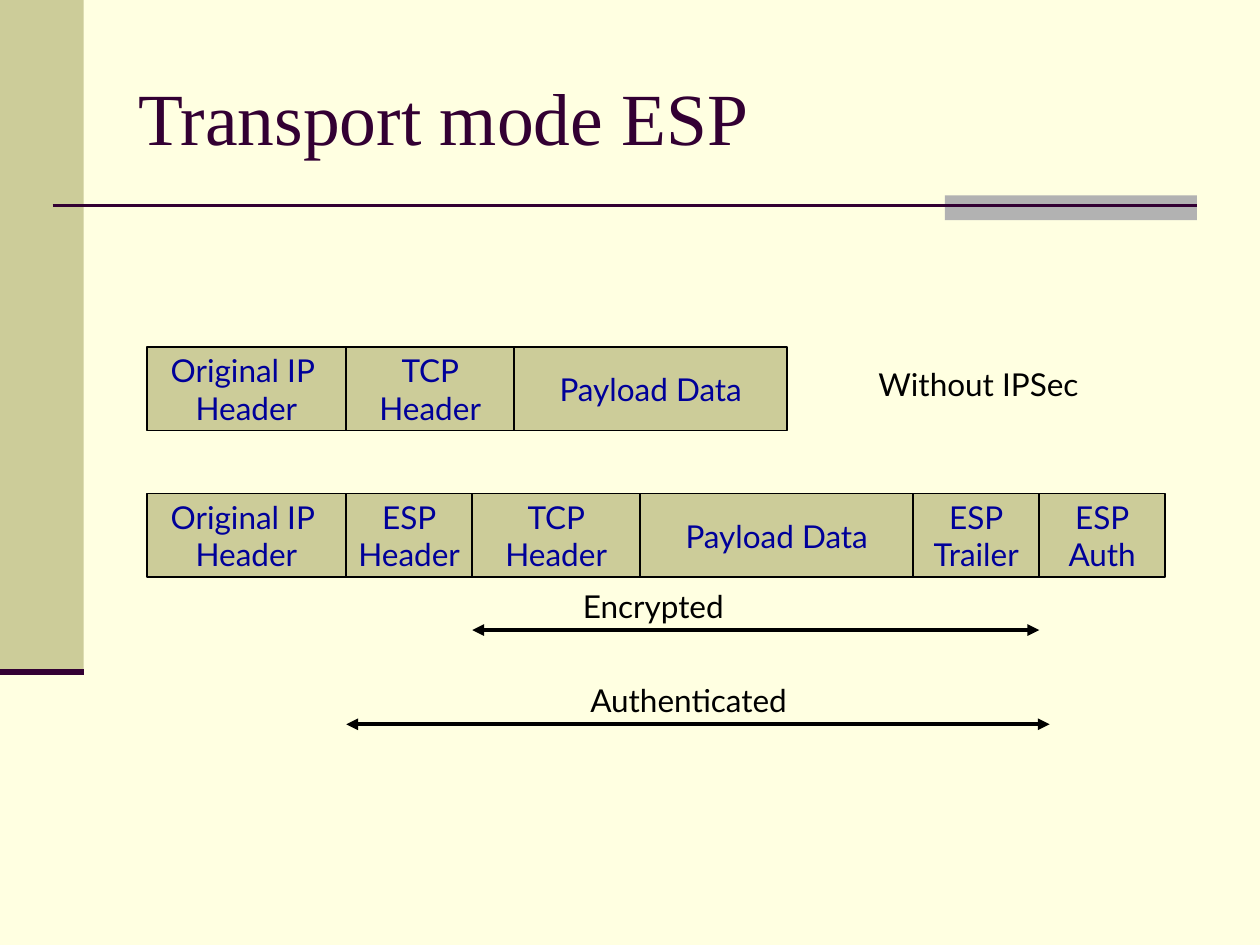
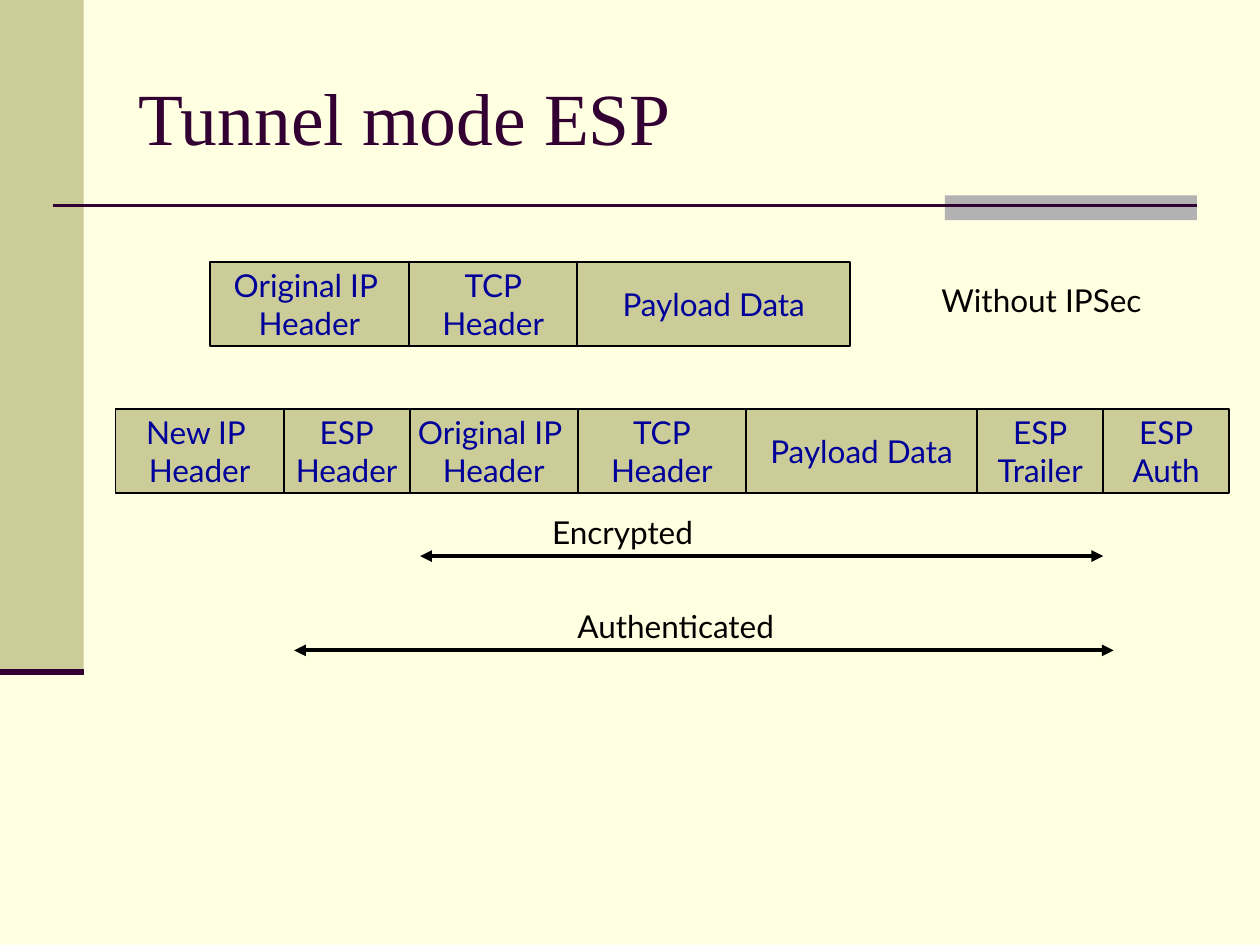
from dataclasses import dataclass

import pptx
import pptx.dml.color
import pptx.enum.shapes
import pptx.enum.text
import pptx.oxml
import pptx.oxml.ns
import pptx.util
from pptx.util import Cm


@dataclass(frozen=True)
class Theme:
    background: str = "FFFFE1"
    khaki: str = "CCCC99"
    gray: str = "B2B2B2"
    plum: str = "330033"
    field_text: str = "000099"
    black: str = "000000"
    title_font: str = "Times New Roman"
    body_font: str = "Lato"
    title_size: float = 42
    body_size: float = 18


@dataclass(frozen=True)
class Box:
    left: float
    top: float
    width: float
    height: float

    def lengths(self):
        return Cm(self.left), Cm(self.top), Cm(self.width), Cm(self.height)


@dataclass(frozen=True)
class Span:
    """An arrow between two field edges, each moved by a small shift."""
    label: str
    label_width: float
    label_offset: float
    first_edge: int
    last_edge: int
    start_shift: float = 0
    end_shift: float = 0


@dataclass(frozen=True)
class Mode:
    title: str
    plain_left: float
    plain_top: float
    secured_left: float
    secured_fields: tuple
    arrow_offset: float
    spans: tuple


THEME = Theme()
FIELD_HEIGHT = 1.69
ROW_STEP = 2.96
ARROW_STEP = 1.9
LABEL_HEIGHT = 1.02
NUDGE = 0.21

NARROW, MEDIUM, WIDE = 2.54, 3.39, 4.02
ORIGINAL_IP = ("Original IP \nHeader", WIDE)
TCP = ("TCP\nHeader", MEDIUM)
PAYLOAD = ("Payload Data", 5.5)
ESP_HEADER = ("ESP\nHeader", NARROW)
ESP_END = (("ESP\nTrailer", NARROW), ("ESP\nAuth", NARROW))
PLAIN_FIELDS = (ORIGINAL_IP, TCP, PAYLOAD)

MODES = (
    Mode(
        "Transport mode ESP", 2.96, 6.99, 2.96,
        (ORIGINAL_IP, ESP_HEADER, TCP, PAYLOAD, *ESP_END), 2.75,
        (Span("Encrypted", 3.5, 1.98, 2, 5),
         Span("Authenticated", 4.7, 4.67, 1, 5, end_shift=NUDGE)),
    ),
    Mode(
        "Tunnel mode ESP", 4.23, 5.29, 2.33,
        (("New IP \nHeader", MEDIUM), ESP_HEADER, ("Original IP \nHeader", MEDIUM),
         TCP, ("Payload Data", 4.66), *ESP_END), 2.96,
        (Span("Encrypted", 3.5, 2.41, 2, 6, start_shift=NUDGE),
         Span("Authenticated", 4.7, 5.46, 1, 6, NUDGE, NUDGE)),
    ),
)


def rgb(color):
    return pptx.dml.color.RGBColor.from_string(color)


def format_text(text_frame, font_name, size, color, alignment):
    for paragraph in text_frame.paragraphs:
        paragraph.alignment = alignment
        for run in paragraph.runs:
            run.font.name = font_name
            run.font.size = pptx.util.Pt(size)
            run.font.color.rgb = rgb(color)


def add_rectangle(slide, box, fill):
    shape = slide.shapes.add_shape(
        pptx.enum.shapes.MSO_SHAPE.RECTANGLE, *box.lengths())
    shape.shadow.inherit = False
    shape.fill.solid()
    shape.fill.fore_color.rgb = rgb(fill)
    shape.line.fill.background()
    return shape


def add_line(slide, left, top, width, color, weight, arrows=False):
    """Draw a horizontal line, with arrowheads at both ends if asked."""
    line = slide.shapes.add_connector(
        pptx.enum.shapes.MSO_CONNECTOR.STRAIGHT,
        Cm(left), Cm(top), Cm(left + width), Cm(top))
    line.line.color.rgb = rgb(color)
    line.line.width = pptx.util.Pt(weight)
    if arrows:
        outline = line.line._get_or_add_ln()
        for end in ("a:headEnd", "a:tailEnd"):
            arrowhead = pptx.oxml.parse_xml(
                f"<{end} {pptx.oxml.ns.nsdecls('a')} type='triangle'/>")
            outline.append(arrowhead)
    line._element.spPr.append(
        pptx.oxml.parse_xml(f"<a:effectLst {pptx.oxml.ns.nsdecls('a')}/>"))


def add_label(slide, box, text):
    label = slide.shapes.add_textbox(*box.lengths())
    label.text_frame.word_wrap = False
    label.text_frame.text = text
    format_text(label.text_frame, THEME.body_font, THEME.body_size,
                THEME.black, pptx.enum.text.PP_ALIGN.LEFT)


def add_frame(slide):
    """Draw the side band and the title rule."""
    band = Box(0, 0, 1.69, 13.55)
    rule = Box(1.06, 4.14, 23.07, 0)
    add_rectangle(slide, band, THEME.khaki)
    add_rectangle(slide, Box(19.05, 3.94, 5.08, 0.5), THEME.gray)
    add_line(slide, rule.left, rule.top, rule.width, THEME.plum, 1.5)
    add_line(slide, band.left, band.height, band.width, THEME.plum, 3.5)


def set_title(slide, box, text):
    title = slide.shapes.title
    title.left, title.top, title.width, title.height = box.lengths()
    text_frame = title.text_frame
    text_frame.text = text
    text_frame.auto_size = pptx.enum.text.MSO_AUTO_SIZE.NONE
    text_frame.vertical_anchor = pptx.enum.text.MSO_ANCHOR.MIDDLE
    format_text(text_frame, THEME.title_font, THEME.title_size,
                THEME.plum, pptx.enum.text.PP_ALIGN.LEFT)


def add_packet(slide, left, top, fields):
    """Lay fields side by side and return the positions of their edges."""
    edges = [left]
    for text, width in fields:
        field = add_rectangle(
            slide, Box(edges[-1], top, width, FIELD_HEIGHT), THEME.khaki)
        field.line.color.rgb = rgb(THEME.black)
        field.line.width = pptx.util.Pt(1)
        field.text_frame.word_wrap = False
        field.text_frame.vertical_anchor = pptx.enum.text.MSO_ANCHOR.MIDDLE
        field.text_frame.text = text
        format_text(field.text_frame, THEME.body_font, THEME.body_size,
                    THEME.field_text, pptx.enum.text.PP_ALIGN.CENTER)
        edges.append(edges[-1] + width)
    return edges


def add_span(slide, span, edges, top):
    left = edges[span.first_edge] + span.start_shift
    right = edges[span.last_edge] + span.end_shift
    add_line(slide, left, top, right - left, THEME.black, 2.25, arrows=True)
    add_label(slide, Box(left + span.label_offset, top - 1,
                         span.label_width, LABEL_HEIGHT), span.label)


def add_mode_slide(presentation, mode):
    title_only = presentation.slide_layouts.get_by_name("Title Only")
    slide = presentation.slides.add_slide(title_only)
    add_frame(slide)
    set_title(slide, Box(2.54, 0.76, 21.59, 3.18), mode.title)

    add_packet(slide, mode.plain_left, mode.plain_top, PLAIN_FIELDS)
    add_label(slide, Box(mode.plain_left + 14.5, mode.plain_top + 0.25,
                         4.65, LABEL_HEIGHT), "Without IPSec")

    secured_top = mode.plain_top + ROW_STEP
    edges = add_packet(slide, mode.secured_left, secured_top, mode.secured_fields)
    for index, span in enumerate(mode.spans):
        add_span(slide, span, edges,
                 secured_top + mode.arrow_offset + index * ARROW_STEP)


def main():
    presentation = pptx.Presentation()
    presentation.slide_width = Cm(25.4)
    presentation.slide_height = Cm(19.05)
    background = presentation.slide_master.background.fill
    background.solid()
    background.fore_color.rgb = rgb(THEME.background)
    for mode in MODES:
        add_mode_slide(presentation, mode)
    presentation.save("out.pptx")


if __name__ == "__main__":
    main()
